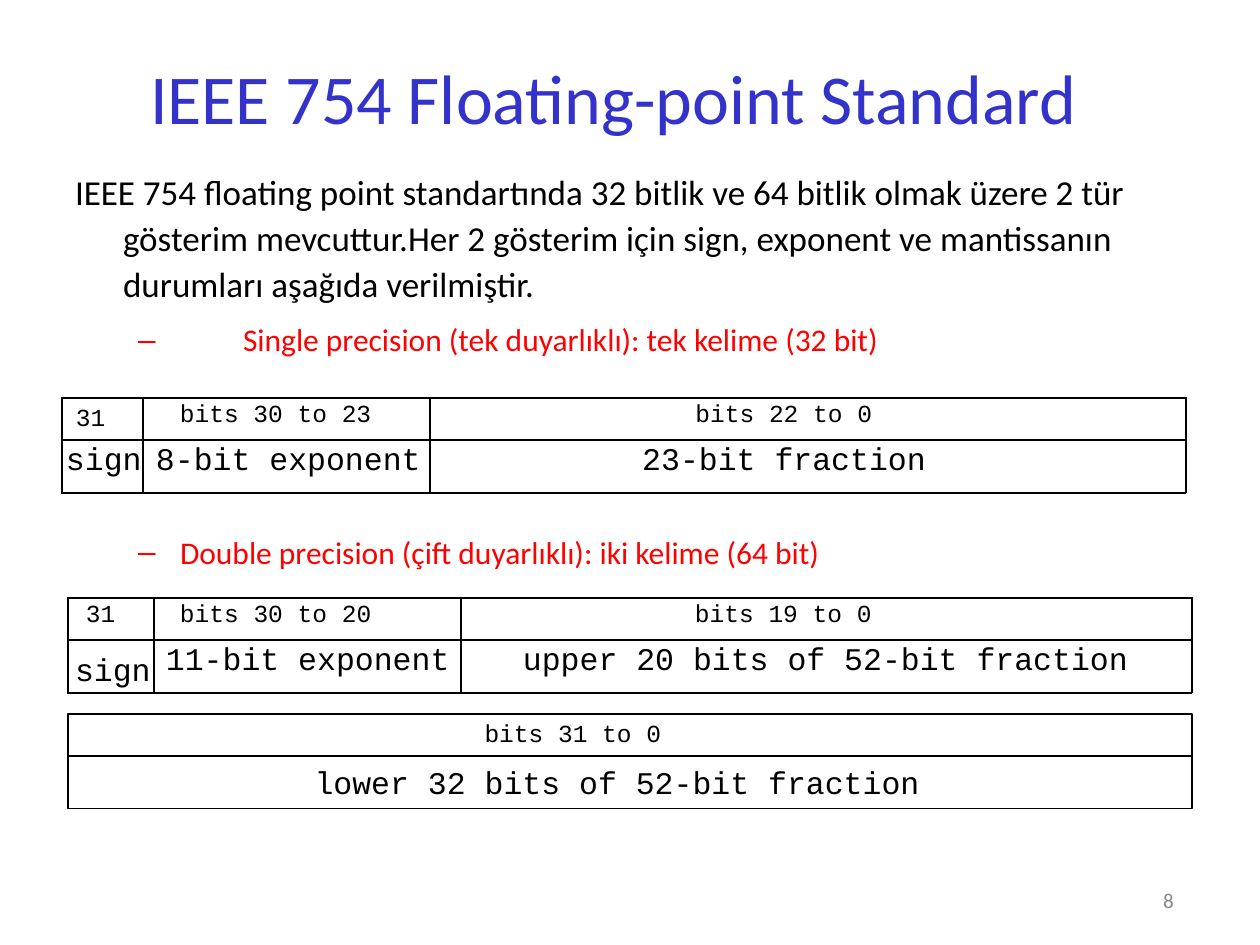
from lxml.etree import SubElement
from pptx import Presentation
from pptx.dml.color import RGBColor
from pptx.enum.shapes import MSO_SHAPE as SHAPE
from pptx.enum.text import MSO_ANCHOR as ANCHOR, MSO_AUTO_SIZE as AUTO, PP_ALIGN as ALIGN
from pptx.oxml.ns import qn
from pptx.util import Emu, Pt

rgb = RGBColor.from_string


def px(*values):
    lengths = [Emu(round(v * 914400 / 126)) for v in values]
    return lengths if len(lengths) > 1 else lengths[0]


def style(p, size, font, color="000000", align=ALIGN.LEFT):
    p.alignment = align
    for r in p.runs:
        r.font.size = Pt(size)
        r.font.name = font
        r.font.color.rgb = rgb(color)


prs = Presentation()
prs.slide_width, prs.slide_height = px(1260, 945)
s = prs.slides.add_slide(prs.slide_layouts[1])

title = s.shapes.title
title.left, title.top, title.width, title.height = px(149, 53, 931, 87)
title.text_frame.text = "IEEE 754 Floating-point Standard"
style(title.text_frame.paragraphs[0], 40, "Calibri", "3333CC")

body = s.placeholders[1]
body.left, body.top, body.width, body.height = px(74, 165, 1060, 195)
body.text_frame.text = (
    "IEEE 754 floating point standartında 32 bitlik ve 64 bitlik olmak üzere 2 tür "
    "gösterim mevcuttur.Her 2 gösterim için sign, exponent ve mantissanın "
    "durumları aşağıda verilmiştir."
)
intro = body.text_frame.paragraphs[0]
style(intro, 20, "Calibri")
intro.line_spacing = 1.1
intro.space_before = Pt(1)
pPr = intro._p.get_or_add_pPr()
pPr.set("marL", str(px(49)))
pPr.set("indent", str(px(-48)))
SubElement(pPr, qn("a:buNone"))

double = s.shapes.add_textbox(*px(137, 530, 750, 42))
number = s.shapes.add_textbox(*px(1158, 888, 34, 25))
number.text_frame.text = "8"
style(number.text_frame.paragraphs[0], 12, "Calibri", "888888")

for sp, left, top in [(title, 1, 2), (body, 0, 1), (double, 0, 3), (number, 5, 0)]:
    tf = sp.text_frame
    tf.word_wrap = True
    tf.auto_size = AUTO.NONE
    tf.vertical_anchor = ANCHOR.TOP
    tf.margin_left, tf.margin_top, tf.margin_right, tf.margin_bottom = px(left, top, 0, 0)

bullets = [
    (body.text_frame.add_paragraph(), 169, 105, 9,
     "Single precision (tek duyarlıklı): tek kelime (32 bit)"),
    (double.text_frame.paragraphs[0], 43, 42, 0,
     "Double precision (çift duyarlıklı): iki kelime (64 bit)"),
]
for p, left, hanging, before, text in bullets:
    p.text = text
    style(p, 18, "Calibri", "FF0000")
    p.space_before = Pt(before)
    pPr = p._p.get_or_add_pPr()
    pPr.set("marL", str(px(left)))
    pPr.set("indent", str(px(-hanging)))
    SubElement(SubElement(pPr, qn("a:buClr")), qn("a:srgbClr"), val="FF0000")
    SubElement(pPr, qn("a:buFont"), typeface="Arial")
    SubElement(pPr, qn("a:buChar"), char="–")

L, C = ALIGN.LEFT, ALIGN.CENTER
row_heights = (42, 53)
row_sizes = (14, 18)
tables = [
    (62, 398, (81, 287, 756), [
        [("31", 14, 8, L, 0), ("bits 30 to 23", 37, 4, L, 0), ("bits 22 to 0", 0, 4, C, 48)],
        [("sign", 4, 4, L, 0), ("8-bit exponent", 13, 4, L, 0), ("23-bit fraction", 0, 4, C, 48)],
    ]),
    (68, 598, (86, 307, 731), [
        [("31", 18, 4, L, 0), ("bits 30 to 20", 26, 4, L, 0), ("bits 19 to 0", 234, 4, L, 0)],
        [("sign", 7, 15, L, 0), ("11-bit exponent", 12, 4, L, 0),
         ("upper 20 bits of 52-bit fraction", 62, 4, L, 0)],
    ]),
]
for x, y, widths, rows in tables:
    frame = s.shapes.add_table(2, 3, *px(x, y, sum(widths), sum(row_heights)))
    table = frame.table
    table.first_row = table.horz_banding = False
    for column, width in zip(table.columns, widths):
        column.width = px(width)
    for i, row in enumerate(rows):
        table.rows[i].height = px(row_heights[i])
        for j, (text, left, top, align, right) in enumerate(row):
            cell = table.cell(i, j)
            cell.text_frame.text = text
            style(cell.text_frame.paragraphs[0], row_sizes[i], "Courier New", align=align)
            cell.margin_left, cell.margin_top, cell.margin_right, cell.margin_bottom = px(
                left, top, right, 0)
            tcPr = cell._tc.get_or_add_tcPr()
            for side in ("lnL", "lnR", "lnT", "lnB"):
                ln = SubElement(tcPr, qn(f"a:{side}"), w=str(Pt(0.75)))
                fill = SubElement(ln, qn("a:solidFill"))
                SubElement(fill, qn("a:srgbClr"), val="000000")
            cell.fill.background()

lower_word = [("bits 31 to 0", 714, 4, 114), ("lower 32 bits of 52-bit fraction", 756, 7, 26)]
for (text, y, top, right), height, size in zip(lower_word, row_heights, row_sizes):
    sp = s.shapes.add_shape(SHAPE.RECTANGLE, *px(68, y, 1124, height))
    sp.shadow.inherit = False
    sp.fill.background()
    sp.line.color.rgb = rgb("000000")
    sp.line.width = Pt(0.72)
    tf = sp.text_frame
    tf.text = text
    tf.word_wrap = True
    tf.vertical_anchor = ANCHOR.TOP
    tf.margin_left, tf.margin_top, tf.margin_right, tf.margin_bottom = px(0, top, right, 0)
    style(tf.paragraphs[0], size, "Courier New", align=C)

prs.save("out.pptx")
